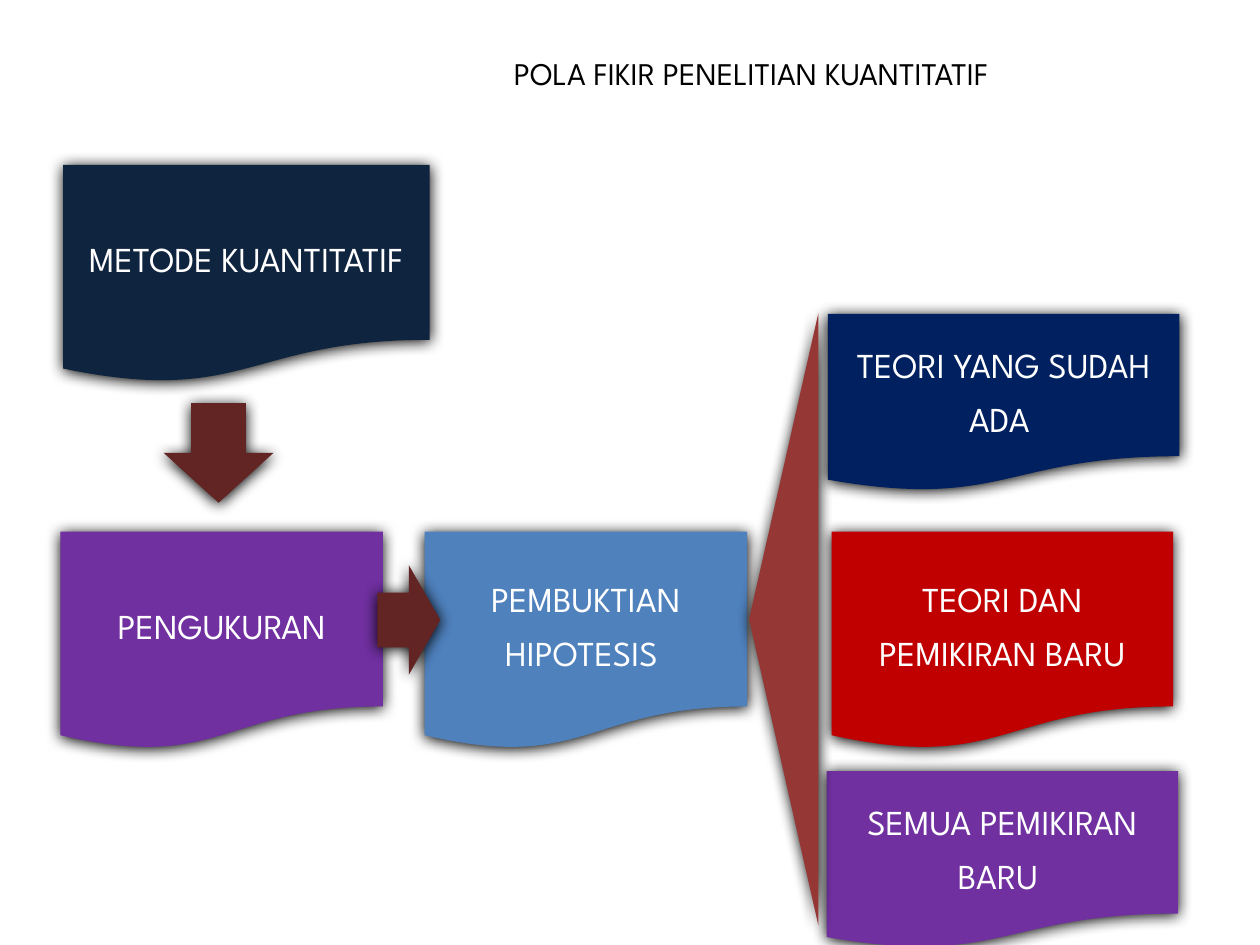
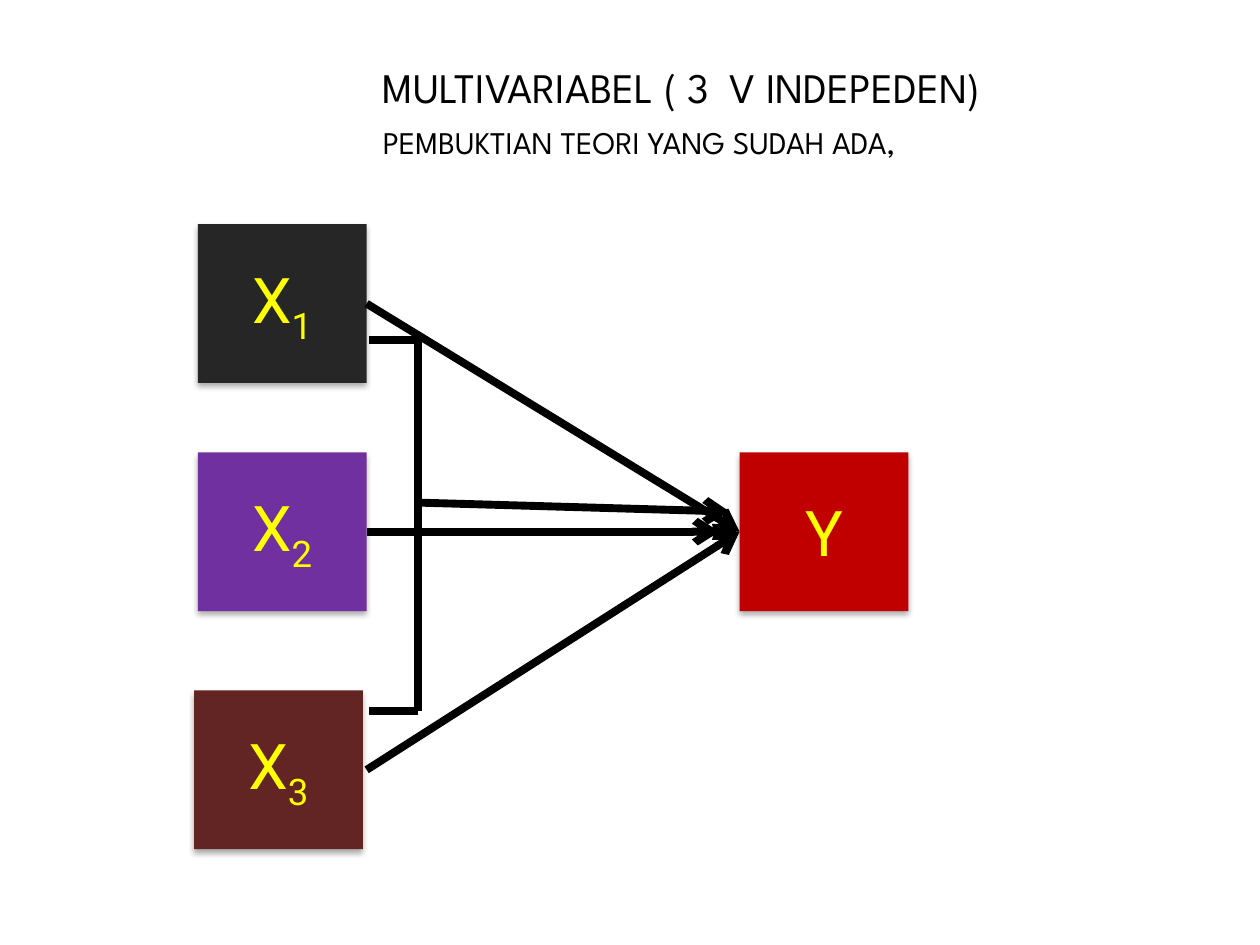
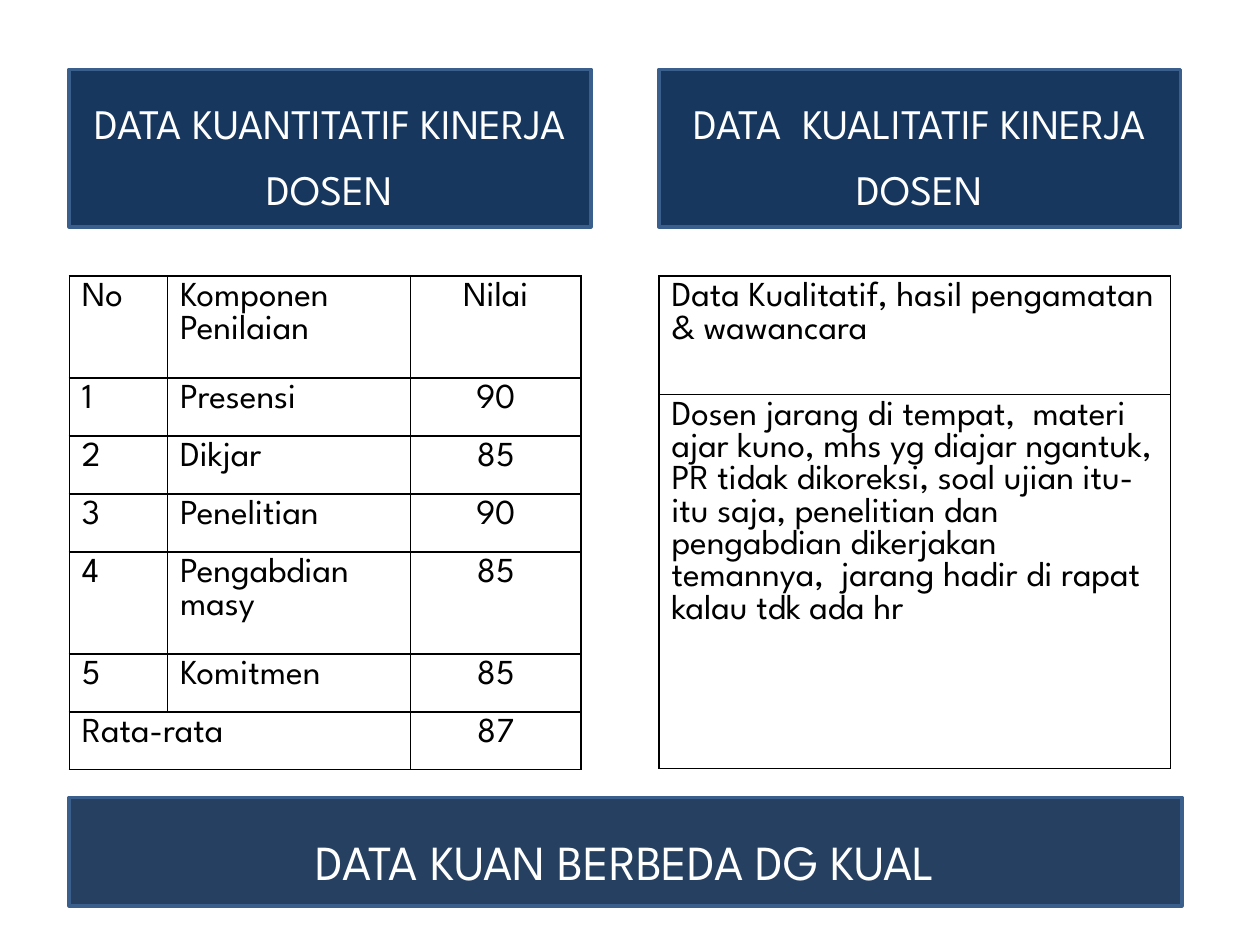
from lxml import etree
from pptx import Presentation
from pptx.dml.color import RGBColor
from pptx.enum.shapes import MSO_CONNECTOR, MSO_SHAPE
from pptx.enum.text import MSO_ANCHOR, PP_ALIGN
from pptx.oxml.ns import qn
from pptx.util import Inches, Pt

DOCUMENT = MSO_SHAPE.FLOWCHART_DOCUMENT
TRIANGLE = MSO_SHAPE.ISOSCELES_TRIANGLE
DOWN_ARROW = MSO_SHAPE.DOWN_ARROW
RECTANGLE = MSO_SHAPE.RECTANGLE
STRAIGHT = MSO_CONNECTOR.STRAIGHT
LEFT, CENTER = PP_ALIGN.LEFT, PP_ALIGN.CENTER
MIDDLE = MSO_ANCHOR.MIDDLE

HEADING_FONT, SYMBOL_FONT = "League Spartan", "Roboto"
BLACK, WHITE, YELLOW = "000000", "FFFFFF", "FFFF00"
PURPLE, RED, MAROON = "7030A0", "C00000", "632523"
NAVY, SLATE, EDGE = "17375E", "254061", "3A5F8C"
GLOW = (8.5, 1, 100)
DROP = (3.5, 2.2, 32)
OPEN_SPACING = 1.3


def rgb(value):
    return RGBColor.from_string(value)


def inches(*lengths):
    return [Inches(length) for length in lengths]


def add_run(paragraph, text, size, color, font=HEADING_FONT):
    run = paragraph.add_run()
    run.text = text
    run.font.size = Pt(size)
    run.font.name = font
    run.font.color.rgb = rgb(color)
    return run


def add_shadow(shape, blur, distance, opacity):
    effects = shape._element.spPr.find(qn("a:effectLst"))
    shadow = etree.SubElement(effects, qn("a:outerShdw"), blurRad=str(Pt(blur)),
                              dist=str(Pt(distance)), dir="5400000", rotWithShape="0")
    tint = etree.SubElement(shadow, qn("a:srgbClr"), val=BLACK)
    etree.SubElement(tint, qn("a:alpha"), val=str(opacity * 1000))


def add_block(slide, preset, box, fill, shadow=None, edge=None, rotation=0):
    block = slide.shapes.add_shape(preset, *inches(*box))
    block.rotation = rotation
    block.fill.solid()
    block.fill.fore_color.rgb = rgb(fill)
    block.shadow.inherit = False
    if shadow:
        add_shadow(block, *shadow)
    if edge:
        block.line.color.rgb = rgb(edge)
        block.line.width = Pt(2)
    else:
        block.line.fill.background()
    return block


def center_paragraph(block):
    frame = block.text_frame
    frame.word_wrap = True
    frame.vertical_anchor = MIDDLE
    paragraph = frame.paragraphs[0]
    paragraph.alignment = CENTER
    return paragraph


def add_label(block, text, size):
    paragraph = center_paragraph(block)
    paragraph.line_spacing = OPEN_SPACING
    add_run(paragraph, text, size, WHITE)


def add_heading(slide, box, lines):
    frame = slide.shapes.add_textbox(*inches(*box)).text_frame
    frame.word_wrap = True
    for index, (text, size) in enumerate(lines):
        paragraph = frame.add_paragraph() if index else frame.paragraphs[0]
        paragraph.line_spacing = OPEN_SPACING
        add_run(paragraph, text, size, BLACK)


def add_line(shapes, start, end, arrow=False):
    line = shapes.add_connector(STRAIGHT, *inches(*start, *end))
    line.line.color.rgb = rgb(BLACK)
    line.line.width = Pt(4.5)
    properties = line._element.spPr
    if arrow:
        etree.SubElement(properties.find(qn("a:ln")), qn("a:tailEnd"), type="arrow")
    etree.SubElement(properties, qn("a:effectLst"))


def add_document(slide, box, fill, text):
    add_label(add_block(slide, DOCUMENT, box, fill, GLOW), text, 20)


def add_method_steps(slide, left, top):
    row = top + 2.91
    add_document(slide, (left + 0.02, top, 2.91, 1.73), "0F243E", "METODE KUANTITATIF")
    add_document(slide, (left, row, 2.56, 1.73), PURPLE, "PENGUKURAN")
    add_document(slide, (left + 2.89, row, 2.56, 1.73), "4F81BD", "PEMBUKTIAN HIPOTESIS ")
    add_block(slide, DOWN_ARROW, (left + 0.82, top + 1.89, 0.87, 0.79), MAROON, GLOW)
    add_block(slide, DOWN_ARROW, (left + 2.33, row + 0.45, 0.87, 0.5), MAROON, GLOW,
              rotation=270)


def add_theory_outcomes(slide, left, top):
    outcomes = [
        (0.64, 0, 2.79, 1.41, "002060", "TEORI YANG SUDAH ADA "),
        (0.67, 1.73, 2.71, 1.73, RED, "TEORI DAN PEMIKIRAN BARU"),
        (0.63, 3.63, 2.79, 1.41, PURPLE, "SEMUA PEMIKIRAN BARU "),
    ]
    for x, y, width, height, fill, text in outcomes:
        add_document(slide, (left + x, top + y, width, height), fill, text)
    add_block(slide, TRIANGLE, (left - 2.14, top + 2.15, 4.86, 0.55), "953735", GLOW,
              rotation=270)


def build_mindset(slide):
    add_method_steps(slide, 0.48, 1.31)
    add_theory_outcomes(slide, 5.93, 2.49)
    add_heading(slide, (3.98, 0.29, 4.72, 0.71),
                [("POLA FIKIR PENELITIAN KUANTITATIF", 18)])


def add_variable(slide, left, top, fill, letter, index=""):
    block = add_block(slide, RECTANGLE, (left, top, 1.34, 1.26), fill, DROP)
    paragraph = center_paragraph(block)
    add_run(paragraph, letter, 36, YELLOW, SYMBOL_FONT)
    if index:
        subscript = add_run(paragraph, index, 36, YELLOW, SYMBOL_FONT)
        subscript.font._element.set("baseline", "-25000")


def add_bracket(slide, left, top, width, height):
    bracket = slide.shapes.add_group_shape().shapes
    right, bottom = left + width, top + height
    add_line(bracket, (right, top), (left, top))
    add_line(bracket, (right, bottom), (left, bottom))
    add_line(bracket, (right, top), (right, bottom))


def add_variable_model(slide, left, top):
    predictors = [(0.03, 0, "262626"), (0.03, 1.81, PURPLE), (0, 3.7, MAROON)]
    for number, (x, y, fill) in enumerate(predictors, 1):
        add_variable(slide, left + x, top + y, fill, "X", str(number))
    add_variable(slide, left + 4.33, top + 1.81, RED, "Y")
    arrows = [
        (1.37, 0.63, 4.33, 2.44),
        (1.37, 2.44, 4.17, 2.44),
        (1.37, 4.33, 4.33, 2.44),
        (1.81, 2.21, 4.25, 2.28),
    ]
    for x1, y1, x2, y2 in arrows:
        add_line(slide.shapes, (left + x1, top + y1), (left + x2, top + y2), arrow=True)
    add_bracket(slide, left + 1.39, top + 0.92, 0.39, 2.94)


def build_multivariable(slide):
    add_variable_model(slide, 1.54, 1.78)
    add_heading(slide, (2.94, 0.32, 6.03, 0.81),
                [("MULTIVARIABEL ( 3  V INDEPEDEN)", 24),
                 ("PEMBUKTIAN TEORI YANG SUDAH ADA,", 18)])


def add_borders(cell):
    properties = cell._tc.get_or_add_tcPr()
    for position, side in enumerate(("lnL", "lnR", "lnT", "lnB")):
        border = etree.Element(qn("a:" + side), w=str(Pt(1)))
        fill = etree.SubElement(border, qn("a:solidFill"))
        etree.SubElement(fill, qn("a:srgbClr"), val=BLACK)
        properties.insert(position, border)


def add_grid(slide, left, top, widths, heights, rows):
    size = inches(left, top, sum(widths), sum(heights))
    grid = slide.shapes.add_table(len(heights), len(widths), *size).table
    grid.first_row = grid.horz_banding = False
    for column, width in zip(grid.columns, widths):
        column.width = Inches(width)
    for row, height in zip(grid.rows, heights):
        row.height = Inches(height)
    for r, texts in enumerate(rows):
        for c, text in enumerate(texts):
            cell = grid.cell(r, c)
            cell.fill.background()
            add_borders(cell)
            if text:
                paragraph = cell.text_frame.paragraphs[0]
                paragraph.alignment = CENTER if c == 2 else LEFT
                add_run(paragraph, text, 20, BLACK)
    return grid


def add_banner(slide, box, fill, text, size):
    add_label(add_block(slide, RECTANGLE, box, fill, edge=EDGE), text, size)


def add_data_panel(slide, left, top, title, widths, heights, rows):
    add_banner(slide, (left, top, 4.14, 1.25), NAVY, title, 24)
    return add_grid(slide, left, top + 1.64, widths, heights, rows)


def build_comparison(slide):
    scores = [
        ("No", "Komponen Penilaian", "Nilai"),
        ("1", "Presensi", "90"),
        ("2", "Dikjar", "85"),
        ("3", "Penelitian", "90"),
        ("4", "Pengabdian masy", "85"),
        ("5", "Komitmen", "85"),
        ("Rata-rata", "", "87"),
    ]
    heights = [0.81 if len(name) > 12 else 0.46 for _, name, _ in scores]
    grid = add_data_panel(slide, 0.55, 0.55, "DATA KUANTITATIF KINERJA DOSEN",
                          (0.78, 1.93, 1.35), heights, scores)
    grid.cell(6, 0).merge(grid.cell(6, 1))
    observations = [
        ("Data Kualitatif, hasil pengamatan & wawancara",),
        ("Dosen jarang di tempat,  materi ajar kuno, mhs yg diajar ngantuk, "
         "PR tidak dikoreksi, soal ujian itu-itu saja, penelitian dan pengabdian "
         "dikerjakan temannya,  jarang hadir di rapat kalau tdk ada hr",),
    ]
    add_data_panel(slide, 5.23, 0.55, "DATA  KUALITATIF KINERJA DOSEN",
                   (4.06,), (0.94, 2.97), observations)
    add_banner(slide, (0.55, 6.33, 8.83, 0.86), SLATE, "DATA KUAN BERBEDA DG KUAL", 28)


def main():
    deck = Presentation()
    deck.slide_width, deck.slide_height = inches(10, 7.5)
    for build in (build_mindset, build_multivariable, build_comparison):
        build(deck.slides.add_slide(deck.slide_layouts[6]))
    deck.save("out.pptx")


if __name__ == "__main__":
    main()
